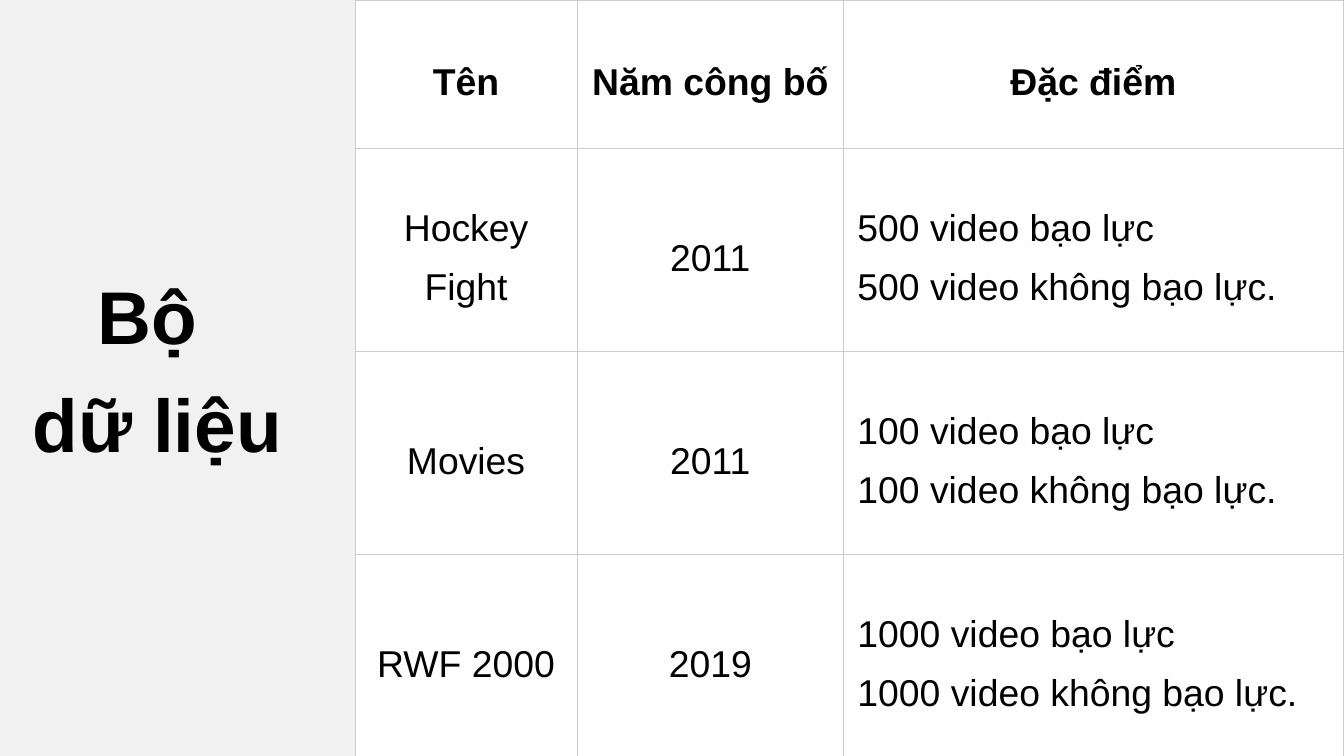
from dataclasses import dataclass

from lxml import etree
from pptx import Presentation
from pptx import util as u
from pptx.dml.color import RGBColor
from pptx.enum import text as t
from pptx.oxml import ns

HUES = {"back": "F0F1F0", "cell": "FFFFFF", "rule": "CCCCCC", "ink": "000000"}
FONT = "Arial"
PAD = u.Inches(0.21)
WIDTHS = [3.31, 3.96, 7.44]
HEIGHTS = [2.21, 3.02, 3.02, 3.02]
HEADS = ["Tên", "Năm công bố", "Đặc điểm"]


@dataclass
class Dataset:
    name: str
    year: int
    count: int

    def cells(self) -> list[str]:
        notes = f"{self.count} video bạo lực\n{self.count} video không bạo lực."
        return [self.name, str(self.year), notes]


SETS = [
    Dataset("Hockey Fight", 2011, 500),
    Dataset("Movies", 2011, 100),
    Dataset("RWF 2000", 2019, 1000),
]


def color(key: str) -> RGBColor:
    return RGBColor.from_string(HUES[key])


def write(frame, words: str, *, size: float, bold: bool = False,
          align=t.PP_ALIGN.CENTER, lead: float = 1.4) -> None:
    frame.text = words
    for para in frame.paragraphs:
        para.alignment = align
        para.line_spacing = lead
        for run in para.runs:
            run.font.name = FONT
            run.font.size = u.Pt(size)
            run.font.bold = bold
            run.font.color.rgb = color("ink")


def border(cell) -> None:
    props = cell._tc.get_or_add_tcPr()
    for side in ("L", "R", "T", "B"):
        line = etree.SubElement(props, ns.qn(f"a:ln{side}"), w=str(u.Pt(0.75)))
        fill = etree.SubElement(line, ns.qn("a:solidFill"))
        etree.SubElement(fill, ns.qn("a:srgbClr"), val=HUES["rule"])


def draw_cell(cell, words: str, head: bool, align) -> None:
    border(cell)
    cell.fill.solid()
    cell.fill.fore_color.rgb = color("cell")
    cell.vertical_anchor = t.MSO_ANCHOR.MIDDLE
    cell.margin_left = cell.margin_right = PAD
    cell.margin_top = cell.margin_bottom = PAD
    write(cell.text_frame, words, size=40, bold=head, align=align)


def draw_table(slide) -> None:
    rows = [HEADS] + [item.cells() for item in SETS]
    table = slide.shapes.add_table(
        len(rows), len(HEADS), u.Inches(5.28), 0,
        u.Inches(sum(WIDTHS)), u.Inches(sum(HEIGHTS))).table
    table.horz_banding = False
    for col, width in zip(table.columns, WIDTHS):
        col.width = u.Inches(width)
    for row, height in zip(table.rows, HEIGHTS):
        row.height = u.Inches(height)
    for r, row in enumerate(rows):
        for c, words in enumerate(row):
            left = r > 0 and c == 2
            align = t.PP_ALIGN.LEFT if left else t.PP_ALIGN.CENTER
            draw_cell(table.cell(r, c), words, r == 0, align)


def draw_title(slide) -> None:
    title = slide.shapes.title
    title.left, title.top = 0, u.Inches(3.75)
    title.width, title.height = u.Inches(4.69), u.Inches(2.96)
    frame = title.text_frame
    frame.margin_left = frame.margin_right = 0
    frame.margin_top = frame.margin_bottom = 0
    frame.word_wrap = True
    frame.auto_size = t.MSO_AUTO_SIZE.NONE
    frame.vertical_anchor = t.MSO_ANCHOR.TOP
    write(frame, "Bộ \ndữ liệu", size=80, bold=True, lead=1.2)


def main() -> None:
    deck = Presentation()
    deck.slide_width, deck.slide_height = u.Inches(20), u.Inches(11.25)
    slide = deck.slides.add_slide(deck.slide_layouts[5])
    slide.background.fill.solid()
    slide.background.fill.fore_color.rgb = color("back")
    draw_table(slide)
    draw_title(slide)
    deck.save("out.pptx")


if __name__ == "__main__":
    main()
